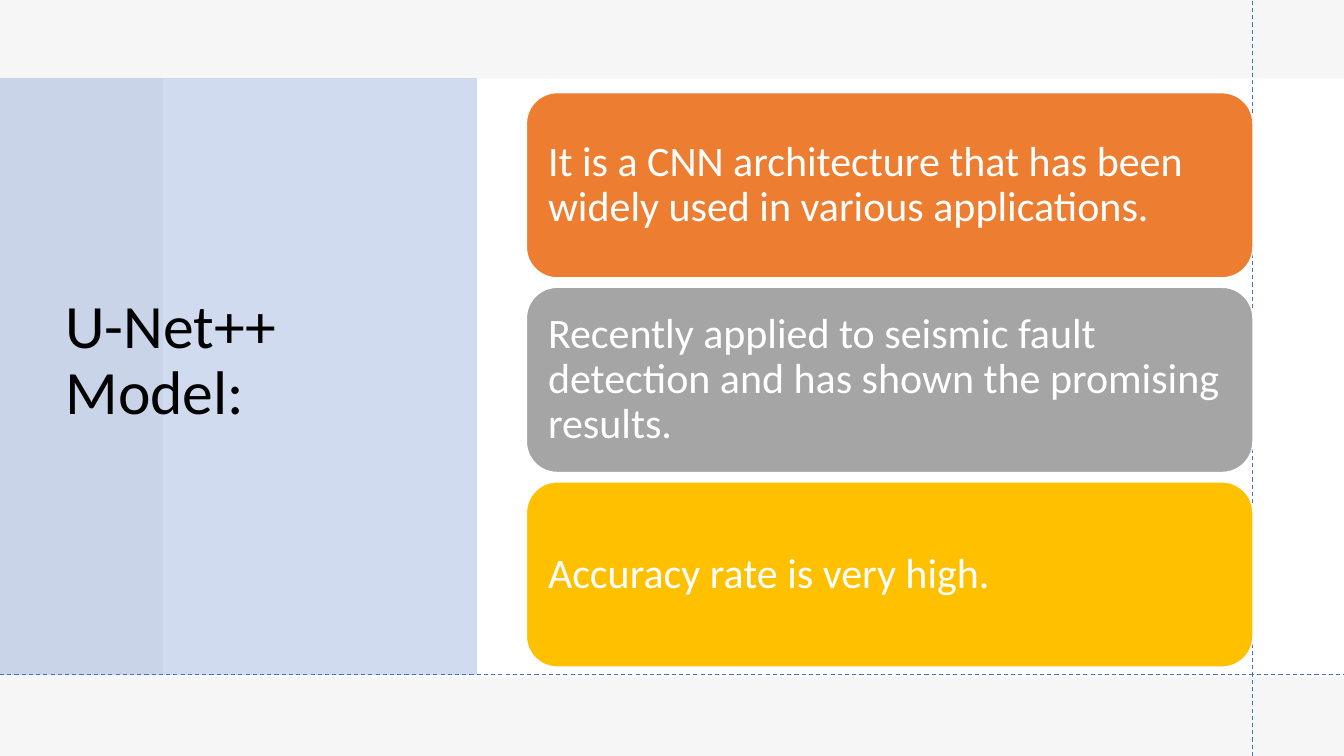
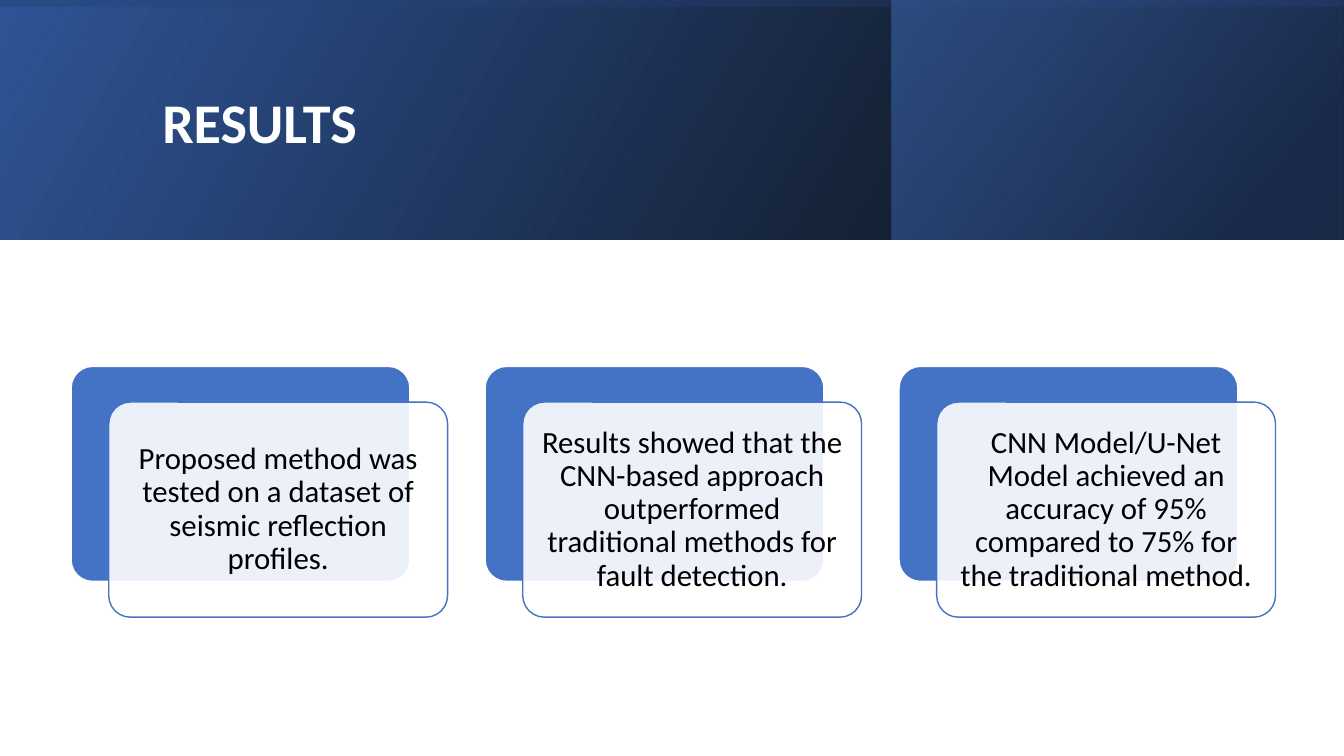
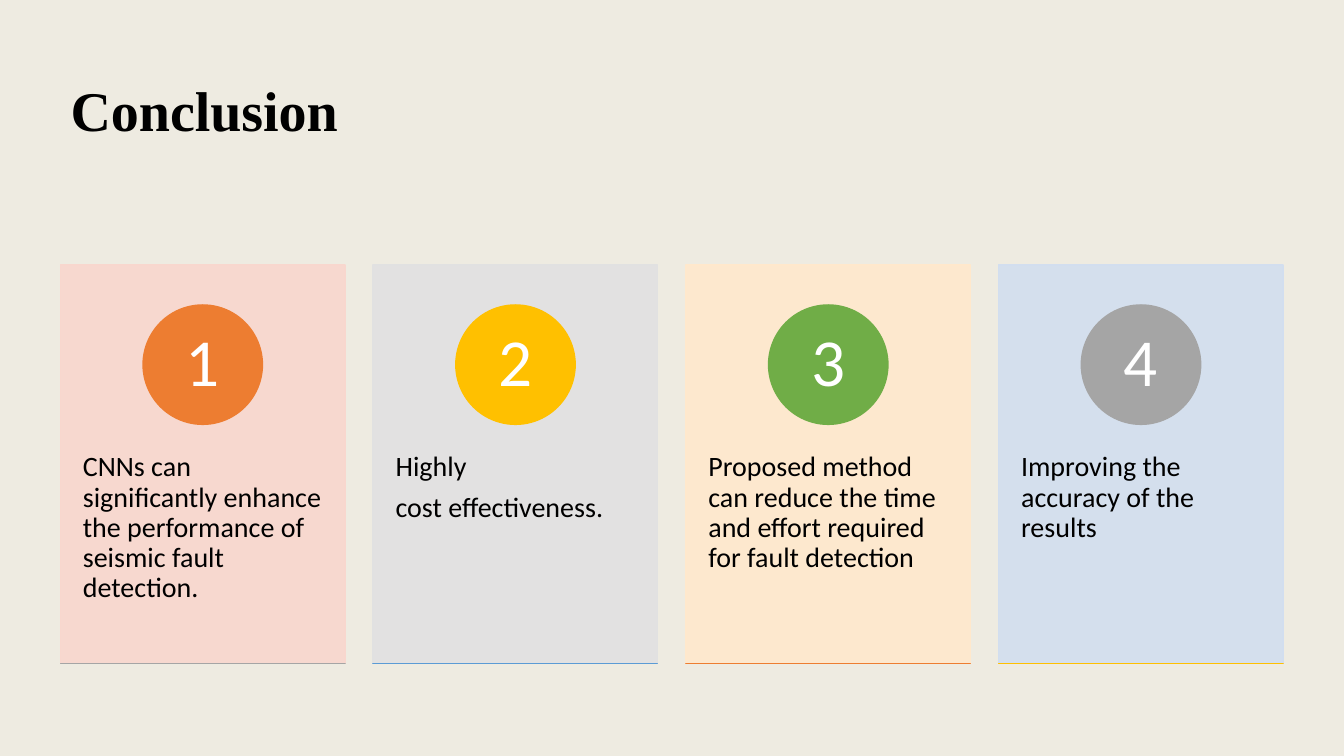
import pptx
import pptx.util
import pptx.dml.color
import pptx.enum.dml
import pptx.enum.shapes
import pptx.enum.text
import pptx.oxml
import pptx.oxml.ns
import lxml.etree

Pt = pptx.util.Pt
rgb = pptx.dml.color.RGBColor.from_string
qn = pptx.oxml.ns.qn
SHAPE = pptx.enum.shapes.MSO_SHAPE
ALIGN = pptx.enum.text.PP_ALIGN
ANCHOR = pptx.enum.text.MSO_ANCHOR

W, H = 960, 540
BLUE, ORANGE, GRAY, GOLD, GREEN = "4472C4", "ED7D31", "A5A5A5", "FFC000", "70AD47"
WHITE, BLACK = "FFFFFF", "000000"


def box(slide, kind, x, y, w, h, fill, line=None, alpha=100):
    sp = slide.shapes.add_shape(kind, Pt(x), Pt(y), Pt(w), Pt(h))
    sp.shadow.inherit = False
    sp.fill.solid()
    sp.fill.fore_color.rgb = rgb(fill)
    if alpha < 100:
        color = sp._element.spPr.find(qn("a:solidFill"))[0]
        lxml.etree.SubElement(color, qn("a:alpha")).set("val", str(alpha * 1000))
    if line:
        sp.line.color.rgb = rgb(line)
        sp.line.width = Pt(1)
    else:
        sp.line.fill.background()
    return sp


def write(sp, text, size, color, insets, align=ALIGN.LEFT, anchor=ANCHOR.MIDDLE,
          font="Calibri", bold=False):
    tf = sp.text_frame
    tf.word_wrap = True
    tf.auto_size = pptx.enum.text.MSO_AUTO_SIZE.NONE
    tf.vertical_anchor = anchor
    tf.margin_left, tf.margin_top, tf.margin_right, tf.margin_bottom = map(Pt, insets)
    tf.text = text
    for p in tf.paragraphs:
        p.alignment = align
        p.line_spacing = 0.9
        p.space_before = Pt(0)
        if len(tf.paragraphs) > 1:
            p.space_after = Pt(7)
        p.font.name = font
        p.font.size = Pt(size)
        p.font.bold = bold
        p.font.color.rgb = rgb(color)


prs = pptx.Presentation()
prs.slide_width, prs.slide_height = Pt(W), Pt(H)

# Titles and backgrounds
slides = []
for text, background, place, size, color, font, bold in [
    ("U-Net++ Model:", "F6F6F6", (39.6, 53.3, 284.4, 409.7), 44, BLACK, "Calibri", False),
    ("RESULTS", WHITE, (108.7, 27.4, 765.4, 123.8), 40, WHITE, "Calibri", True),
    ("Conclusion", "EEEBE1", (43.2, 28.8, 873.4, 104.4), 40, BLACK, "Times New Roman", True),
]:
    slide = prs.slides.add_slide(prs.slide_layouts[5])
    slide.background.fill.solid()
    slide.background.fill.fore_color.rgb = rgb(background)
    title = slide.shapes.title
    title.left, title.top, title.width, title.height = map(Pt, place)
    write(title, text, size, color, (7.2, 3.6, 7.2, 3.6), font=font, bold=bold)
    slides.append(slide)
model, results, conclusion = slides

# Model: panels and dashed guides
box(model, SHAPE.RECTANGLE, 116.5, 56, W - 116.5, 427.7, WHITE)
box(model, SHAPE.RECTANGLE, 0, 55.8, 340.6, 426.2, BLUE, alpha=25)
for x1, y1, x2, y2 in [(895, H, 895, 0), (0, 481.7, W, 481.7)]:
    guide = model.shapes.add_connector(
        pptx.enum.shapes.MSO_CONNECTOR.STRAIGHT, Pt(x1), Pt(y1), Pt(x2), Pt(y2))
    guide.line.color.rgb = rgb(BLUE)
    guide.line.width = Pt(0.75)
    guide.line.dash_style = pptx.enum.dml.MSO_LINE.DASH
    lxml.etree.SubElement(guide._element.spPr, qn("a:effectLst"))

# Model: stacked cards
for i, (fill, text) in enumerate([
    (ORANGE, "It is a CNN architecture that has been widely used in various applications."),
    (GRAY, "Recently applied to seismic fault detection and has shown the promising results."),
    (GOLD, "Accuracy rate is very high."),
]):
    card = box(model, SHAPE.ROUNDED_RECTANGLE, 376, 66.2 + i * 139, 519, 132.3, fill, WHITE)
    write(card, text, 30, WHITE, (9, 9, 9, 9))

# Results: gradient layers of the header band, stops as (position, colour, alpha)
band = 170.9
for x, y, w, h, turn, angle, stops in [
    (0, 0, W, band, 0, 330, [(0, BLACK, 96), (100, "2F5597", 100)]),
    (636.8, 0, 322.8, band, 0, 320, [(19, "203864", 68), (100, BLUE, 48)]),
    ((W - band) / 2, (band - W) / 2, band, W, 270, 350, [(23, "2F5597", 16), (99, BLACK, 45)]),
]:
    sp = box(results, SHAPE.RECTANGLE, x, y, w, h, BLUE)
    sp.rotation = turn
    spPr = sp._element.spPr
    spPr.find(qn("a:xfrm")).set("flipH", "1")
    gs = "".join(
        f'<a:gs pos="{pos * 1000}"><a:srgbClr val="{color}">'
        f'<a:alpha val="{alpha * 1000}"/></a:srgbClr></a:gs>'
        for pos, color, alpha in stops)
    spPr.replace(spPr.find(qn("a:solidFill")), pptx.oxml.parse_xml(
        f'<a:gradFill {pptx.oxml.ns.nsdecls("a")}><a:gsLst>{gs}</a:gsLst>'
        f'<a:lin ang="{angle * 60000}" scaled="0"/></a:gradFill>'))

# Results: layered cards
for i, text in enumerate([
    "Proposed method was tested on a dataset of seismic reflection profiles.",
    "Results showed that the CNN-based approach outperformed traditional methods for fault detection.",
    "CNN Model/U-Net Model achieved an accuracy of 95% compared to 75% for the traditional method.",
]):
    x = 50.8 + i * 295.7
    back = box(results, SHAPE.ROUNDED_RECTANGLE, x, 261.7, 242, 153.6, BLUE, WHITE)
    front = box(results, SHAPE.ROUNDED_RECTANGLE, x + 26.9, 287.2, 242, 153.6, WHITE, BLUE, 90)
    back.adjustments[0] = front.adjustments[0] = 0.1
    write(front, text, 22, BLACK, (6.6, 6.6, 6.6, 6.6), ALIGN.CENTER)

# Conclusion: numbered cards
card_w, circle = 203.2, 85.3
for i, (fill, dot, rule, text) in enumerate([
    ("F8D7CE", ORANGE, GRAY,
     "CNNs can significantly enhance the performance of seismic fault detection."),
    ("E1E1E1", GOLD, "5B9BD5", "Highly\ncost effectiveness."),
    ("FFE8CC", GREEN, ORANGE,
     "Proposed method can reduce the time and effort required for fault detection"),
    ("D2DEEF", GRAY, GOLD, "Improving the accuracy of the results"),
]):
    x = 43.2 + i * 223.4
    card = box(conclusion, SHAPE.RECTANGLE, x, 189.4, card_w, 284.4, fill, fill, 90)
    write(card, text, 20, BLACK, (16, 134, 16, 26), anchor=ANCHOR.TOP)
    number = box(conclusion, SHAPE.OVAL, x + (card_w - circle) / 2, 217.8, circle, circle, dot, dot)
    write(number, str(i + 1), 48, WHITE, (6.6, 1, 6.6, 1), ALIGN.CENTER)
    box(conclusion, SHAPE.RECTANGLE, x, 473.8, card_w, 0.01, rule, rule)

# Titles sit above the panels
for slide in slides:
    slide.shapes._spTree.append(slide.shapes.title._element)

prs.save("out.pptx")
